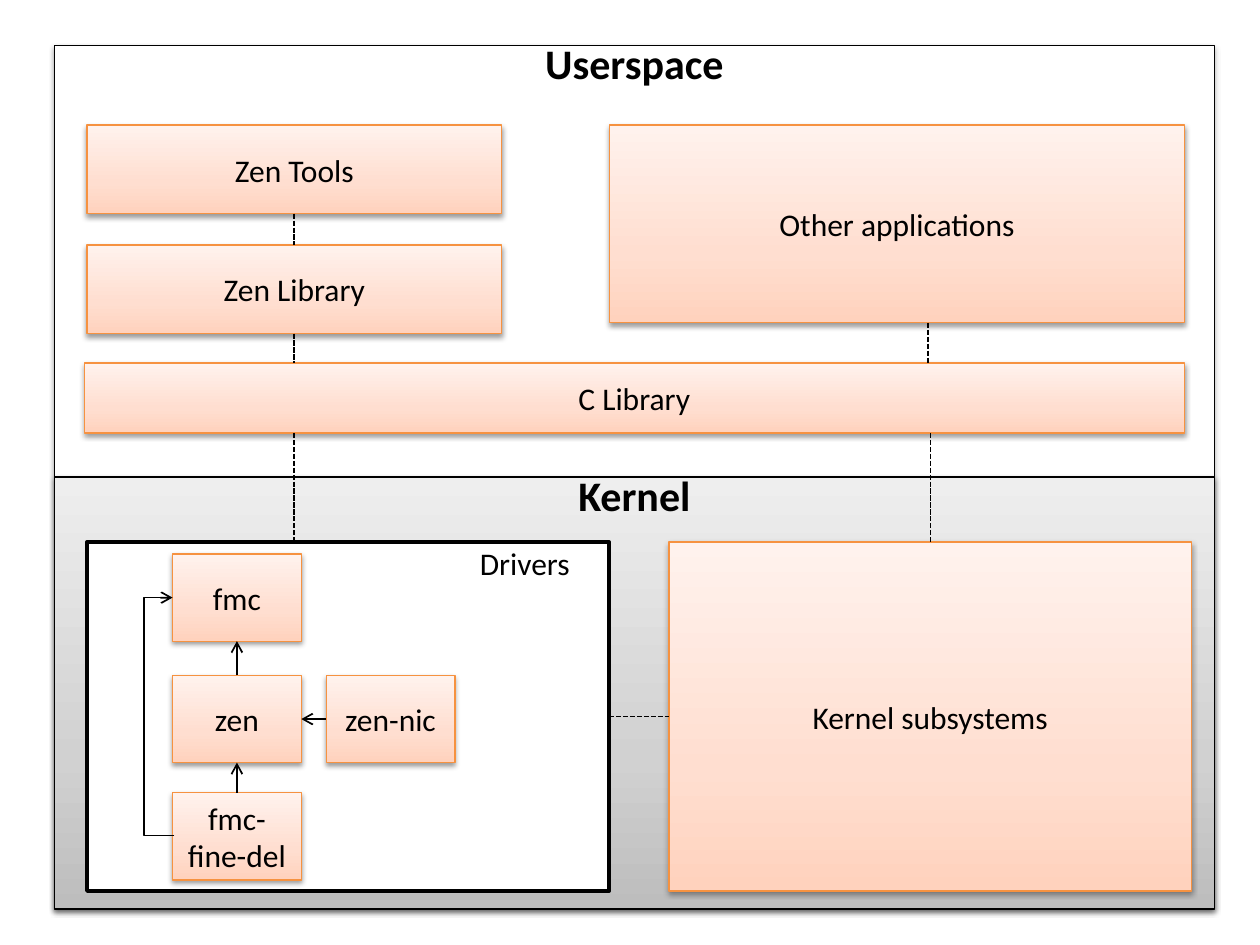
"""Build a one-slide diagram of a driver stack across userspace and kernel."""
from copy import deepcopy
from dataclasses import dataclass

from lxml import etree
from pptx import Presentation
from pptx.dml.color import RGBColor
from pptx.enum.dml import MSO_LINE
from pptx.enum.shapes import MSO_CONNECTOR, MSO_SHAPE
from pptx.enum.text import MSO_ANCHOR, MSO_AUTO_SIZE, PP_ALIGN
from pptx.oxml.ns import qn
from pptx.util import Pt

RECT = MSO_SHAPE.RECTANGLE
STRAIGHT, ELBOW = MSO_CONNECTOR.STRAIGHT, MSO_CONNECTOR.ELBOW
DASHED = MSO_LINE.SQUARE_DOT
CENTER, RIGHT = PP_ALIGN.CENTER, PP_ALIGN.RIGHT
TOP_ANCHOR, MIDDLE = MSO_ANCHOR.TOP, MSO_ANCHOR.MIDDLE
FIT_TEXT = MSO_AUTO_SIZE.SHAPE_TO_FIT_TEXT
TOP, LEFT, BOTTOM, RIGHT_SIDE = range(4)


@dataclass(frozen=True)
class Theme:
    font: str = "Calibri"
    heading: int = 24
    body: int = 18
    black: str = "000000"
    white: str = "FFFFFF"
    orange: str = "F69240"
    peach: tuple = ("FFD2BD", "FFDED0", "FFF2ED")
    gray: tuple = ("BDBDBD", "D1D1D1", "EEEEEE")
    stops: tuple = (0, 0.35, 1)


class Diagram:
    def __init__(self, slide, theme):
        self.s, self.t = slide, theme

    def add_text(self, sp, text, size, bold=False, align=CENTER):
        p = sp.text_frame.paragraphs[0]
        p.alignment = align
        r = p.add_run()
        r.text = text
        r.font.name, r.font.size, r.font.bold = self.t.font, Pt(size), bold
        r.font.color.rgb = RGBColor.from_string(self.t.black)

    def rect(self, x, y, w, h, fill, line, width=0.75):
        sp = self.s.shapes.add_shape(RECT, Pt(x), Pt(y), Pt(w), Pt(h))
        sp.shadow.inherit = False
        if isinstance(fill, tuple):
            self.gradient(sp, fill)
        else:
            sp.fill.solid()
            sp.fill.fore_color.rgb = RGBColor.from_string(fill)
        sp.line.color.rgb = RGBColor.from_string(line)
        sp.line.width = Pt(width)
        return sp

    def gradient(self, sp, colors):
        sp.fill.gradient()
        sp.fill.gradient_angle = 90
        stop_list = sp._element.spPr.find(".//" + qn("a:gsLst"))
        stop_list.insert(1, deepcopy(stop_list[0]))
        for stop, position, color in zip(sp.fill.gradient_stops, self.t.stops, colors):
            stop.position = position
            stop.color.rgb = RGBColor.from_string(color)

    def shadow(self, sp):
        effects = sp._element.spPr.find(qn("a:effectLst"))
        outer = etree.SubElement(effects, qn("a:outerShdw"), blurRad=str(Pt(3.1)),
                                 dist=str(Pt(1.6)), dir="5400000", rotWithShape="0")
        color = etree.SubElement(outer, qn("a:srgbClr"), val=self.t.black)
        etree.SubElement(color, qn("a:alpha"), val="38000")

    def region(self, title, x, y, w, h, fill):
        self.shadow(self.rect(x, y, w, h, fill, self.t.black))
        width = 120
        sp = self.s.shapes.add_textbox(Pt(x + (w - width) / 2), Pt(y - 8), Pt(width), Pt(36))
        sp.text_frame.word_wrap = False
        sp.text_frame.auto_size = FIT_TEXT
        self.add_text(sp, title, self.t.heading, bold=True)

    def block(self, text, x, y, w, h):
        sp = self.rect(x, y, w, h, self.t.peach, self.t.orange)
        self.shadow(sp)
        sp.text_frame.word_wrap = True
        sp.text_frame.vertical_anchor = MIDDLE
        self.add_text(sp, text, self.t.body)
        return sp

    def frame(self, text, x, y, w, h):
        sp = self.rect(x, y, w, h, self.t.white, self.t.black, 2)
        tf = sp.text_frame
        tf.word_wrap = True
        tf.vertical_anchor = TOP_ANCHOR
        tf.margin_top, tf.margin_right = Pt(1), Pt(22.5)
        self.add_text(sp, text, self.t.body, align=RIGHT)
        return sp

    def connector(self, kind, x1, y1, x2, y2, arrow):
        c = self.s.shapes.add_connector(kind, Pt(x1), Pt(y1), Pt(x2), Pt(y2))
        c.line.color.rgb = RGBColor.from_string(self.t.black)
        c.line.width = Pt(1)
        spPr = c._element.spPr
        if arrow:
            etree.SubElement(spPr.find(qn("a:ln")), qn("a:tailEnd"), type="arrow")
        else:
            c.line.dash_style = DASHED
        etree.SubElement(spPr, qn("a:effectLst"))
        return c

    def drop(self, x, y1, y2):
        self.connector(STRAIGHT, x, y1, x, y2, arrow=False)

    def link(self, start, start_side, end, end_side, arrow=False):
        c = self.connector(STRAIGHT, 0, 0, 0, 0, arrow)
        c.begin_connect(start, start_side)
        c.end_connect(end, end_side)

    def loop(self, x1, y1, x2, y2, turn_x):
        c = self.connector(ELBOW, x2, y2, x1, y1, arrow=True)
        spPr = c._element.spPr
        spPr.find(qn("a:xfrm")).set("rot", "10800000")
        geometry = spPr.find(qn("a:prstGeom"))
        guides = geometry.find(qn("a:avLst"))
        if guides is None:
            guides = etree.SubElement(geometry, qn("a:avLst"))
        ratio = round((x1 - turn_x) / (x1 - x2) * 100000)
        etree.SubElement(guides, qn("a:gd"), name="adj1", fmla=f"val {ratio}")


def main():
    prs = Presentation()
    prs.slide_width, prs.slide_height = Pt(720), Pt(540)
    theme = Theme()
    d = Diagram(prs.slides.add_slide(prs.slide_layouts[6]), theme)

    d.region("Userspace", 31, 26, 663, 493.4, theme.white)
    d.region("Kernel", 31, 272.6, 663, 246.8, theme.gray)

    subsystems = d.block("Kernel subsystems", 382.3, 309.8, 298.4, 199.4)
    d.block("C Library", 48.2, 207.5, 628.6, 39.9)
    library = d.block("Zen Library", 49.7, 140, 237, 50.6)
    tools = d.block("Zen Tools", 49.7, 71.5, 237, 50.6)
    d.block("Other applications", 348.4, 71.5, 328.4, 113)
    drivers = d.frame("Drivers", 49.7, 309.8, 298.4, 199.4)

    modules = {
        name: d.block(name, x, y, 73.6, 49.8)
        for name, x, y in (
            ("zen", 98.6, 386),
            ("zen-nic", 186.4, 386),
            ("fmc", 98.6, 316.6),
            ("fmc-fine-del", 98.6, 453),
        )
    }

    d.link(tools, BOTTOM, library, TOP)
    d.link(drivers, RIGHT_SIDE, subsystems, LEFT)
    for x, y1, y2 in ((168.2, 190.6, 207.5), (168.2, 247.4, 309.8),
                      (530.2, 184.5, 207.5), (531.8, 247.4, 309.8)):
        d.drop(x, y1, y2)

    d.link(modules["zen-nic"], LEFT, modules["zen"], RIGHT_SIDE, arrow=True)
    d.link(modules["zen"], TOP, modules["fmc"], BOTTOM, arrow=True)
    d.link(modules["fmc-fine-del"], TOP, modules["zen"], BOTTOM, arrow=True)
    d.loop(99.6, 477.5, 98.6, 341.5, turn_x=82)

    prs.save("out.pptx")


if __name__ == "__main__":
    main()
